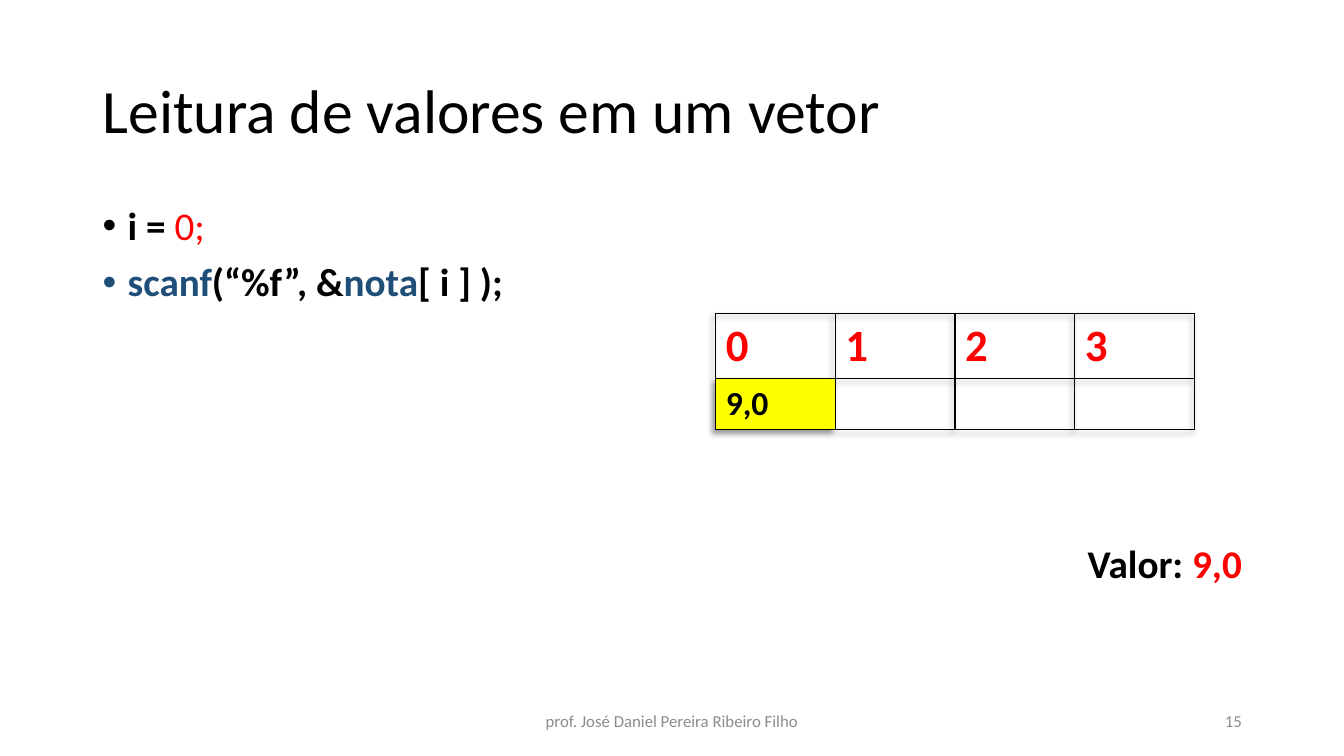
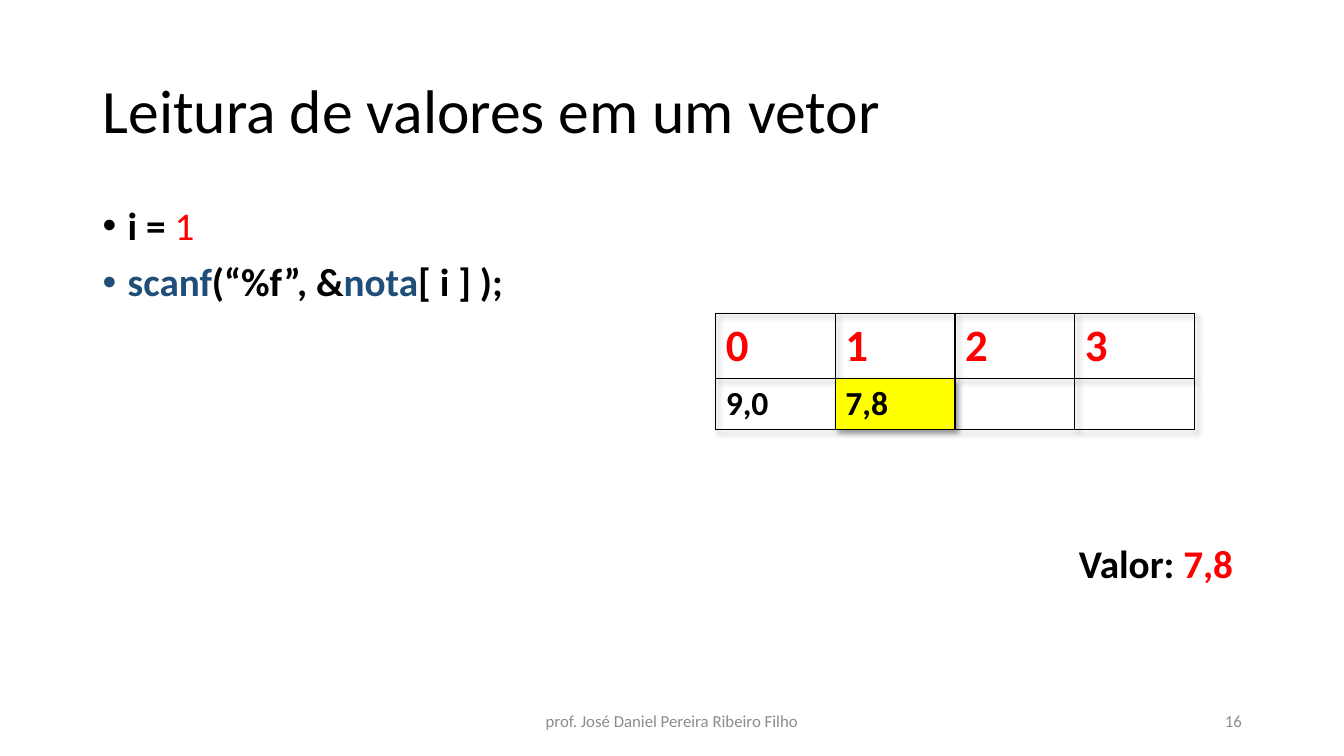
from lxml import etree
from pptx import Presentation
from pptx.dml.color import RGBColor
from pptx.enum.text import MSO_ANCHOR as Anchor, PP_ALIGN as Align
from pptx.oxml.ns import qn
from pptx.util import Pt

# Content
TITLE = "Leitura de valores em um vetor"
AUTHOR = "prof. José Daniel Pereira Ribeiro Filho"
INDICES = ["0", "1", "2", "3"]
SLIDES = [
    dict(number="15", index="0;", values=["9,0", "", "", ""], current=0,
         reading="9,0", shadow_angle=135),
    dict(number="16", index="1", values=["9,0", "7,8", "", ""], current=1,
         reading="7,8 ", shadow_angle=45),
]

# Shared style
FONT = "Calibri"
BLACK, RED, NAVY, GREY, YELLOW = "000000", "FF0000", "1F4E79", "8C8C8C", "FFFF00"
TITLE_FORMAT = dict(size=44, color=BLACK)
FOOTER_FORMAT = dict(size=12, color=GREY)
CODE, CODE_NAME, CODE_VALUE = (dict(size=28, bold=True, color=c) for c in (BLACK, NAVY, RED))
INDEX_FORMAT = dict(size=28, color=RED)
HEADER_FORMAT = dict(size=32, bold=True, color=RED)
VALUE_FORMAT = dict(size=24, bold=True, color=BLACK)
BODY_PARAGRAPH = dict(line_spacing=0.9, space_before=Pt(10))

# Layout, in points: left, top, width, height
LEFT, WIDTH = 66.2, 828
TITLE_BOX = (LEFT, 28.8, WIDTH, 104.4)
CODE_BOX = (LEFT, 144, WIDTH, 90)
READING_BOX = (LEFT, 385.4, WIDTH, 50)
AUTHOR_BOX = (318, 500.6, 324, 28.8)
NUMBER_BOX = (678.2, 500.6, 216, 28.8)
TABLE_LEFT, TABLE_TOP, COLUMN_WIDTH = 511.2, 224, 85.5
ROW_HEIGHTS = (46.4, 36.4)
BULLET_INDENT = 18


def rgb(value):
    return RGBColor.from_string(value)


def add_runs(paragraph, runs):
    for text, style in runs:
        run = paragraph.add_run()
        run.text = text
        font = run.font
        settings = dict(name=FONT, size=Pt(style["size"]), bold=style.get("bold", False))
        for name, value in settings.items():
            setattr(font, name, value)
        font.color.rgb = rgb(style["color"])


def add_bullet(paragraph):
    properties = paragraph._p.get_or_add_pPr()
    properties.set("marL", str(Pt(BULLET_INDENT)))
    properties.set("indent", str(-Pt(BULLET_INDENT)))
    etree.SubElement(properties, qn("a:buFont"), typeface="Arial")
    etree.SubElement(properties, qn("a:buChar"), char="•")


def add_text(slide, box, lines, anchor=Anchor.TOP, bullets=False, **paragraph_format):
    frame = slide.shapes.add_textbox(*map(Pt, box)).text_frame
    frame.word_wrap = True
    frame.vertical_anchor = anchor
    for number, runs in enumerate(lines):
        paragraph = frame.add_paragraph() if number else frame.paragraphs[0]
        for name, value in paragraph_format.items():
            setattr(paragraph, name, value)
        if bullets:
            add_bullet(paragraph)
        add_runs(paragraph, runs)


def add_borders(cell):
    properties = cell._tc.get_or_add_tcPr()
    for position, side in enumerate(("lnL", "lnR", "lnT", "lnB")):
        line = etree.Element(qn("a:" + side), w=str(Pt(1)))
        fill = etree.SubElement(line, qn("a:solidFill"))
        etree.SubElement(fill, qn("a:srgbClr"), val=BLACK)
        properties.insert(position, line)


def add_table_shadow(table, angle):
    effects = etree.Element(qn("a:effectLst"))
    shadow = etree.SubElement(effects, qn("a:outerShdw"), blurRad=str(Pt(4)),
                              dist=str(Pt(3)), dir=str(angle * 60000))
    color = etree.SubElement(shadow, qn("a:srgbClr"), val=BLACK)
    etree.SubElement(color, qn("a:alpha"), val="40000")
    table._tbl.tblPr.insert(0, effects)


def add_vector(slide, values, current, shadow_angle):
    rows = [(INDICES, HEADER_FORMAT), (values, VALUE_FORMAT)]
    table = slide.shapes.add_table(
        len(rows), len(INDICES), Pt(TABLE_LEFT), Pt(TABLE_TOP),
        Pt(COLUMN_WIDTH * len(INDICES)), Pt(sum(ROW_HEIGHTS))).table
    table.first_row = table.horz_banding = False
    add_table_shadow(table, shadow_angle)
    for column in table.columns:
        column.width = Pt(COLUMN_WIDTH)
    for row, (texts, style) in enumerate(rows):
        table.rows[row].height = Pt(ROW_HEIGHTS[row])
        for column, text in enumerate(texts):
            cell = table.cell(row, column)
            if row == 1 and column == current:
                cell.fill.solid()
                cell.fill.fore_color.rgb = rgb(YELLOW)
            else:
                cell.fill.background()
            add_borders(cell)
            if text:
                add_runs(cell.text_frame.paragraphs[0], [(text, style)])


# Build
presentation = Presentation()
presentation.slide_width, presentation.slide_height = Pt(960), Pt(540)

for content in SLIDES:
    slide = presentation.slides.add_slide(presentation.slide_layouts[6])
    add_text(slide, TITLE_BOX, [[(TITLE, TITLE_FORMAT)]], Anchor.MIDDLE, line_spacing=0.9)
    code_lines = [
        [("i = ", CODE), (content["index"], INDEX_FORMAT)],
        [("scanf", CODE_NAME), ("(“%f”, &", CODE), ("nota", CODE_NAME), ("[ i ] );", CODE)],
    ]
    add_text(slide, CODE_BOX, code_lines, bullets=True, **BODY_PARAGRAPH)
    add_text(slide, READING_BOX, [[("Valor: ", CODE), (content["reading"], CODE_VALUE)]],
             alignment=Align.RIGHT, **BODY_PARAGRAPH)
    for box, text, alignment in ((AUTHOR_BOX, AUTHOR, Align.CENTER),
                                 (NUMBER_BOX, content["number"], Align.RIGHT)):
        add_text(slide, box, [[(text, FOOTER_FORMAT)]], Anchor.MIDDLE, alignment=alignment)
    add_vector(slide, content["values"], content["current"], content["shadow_angle"])

presentation.save("out.pptx")
